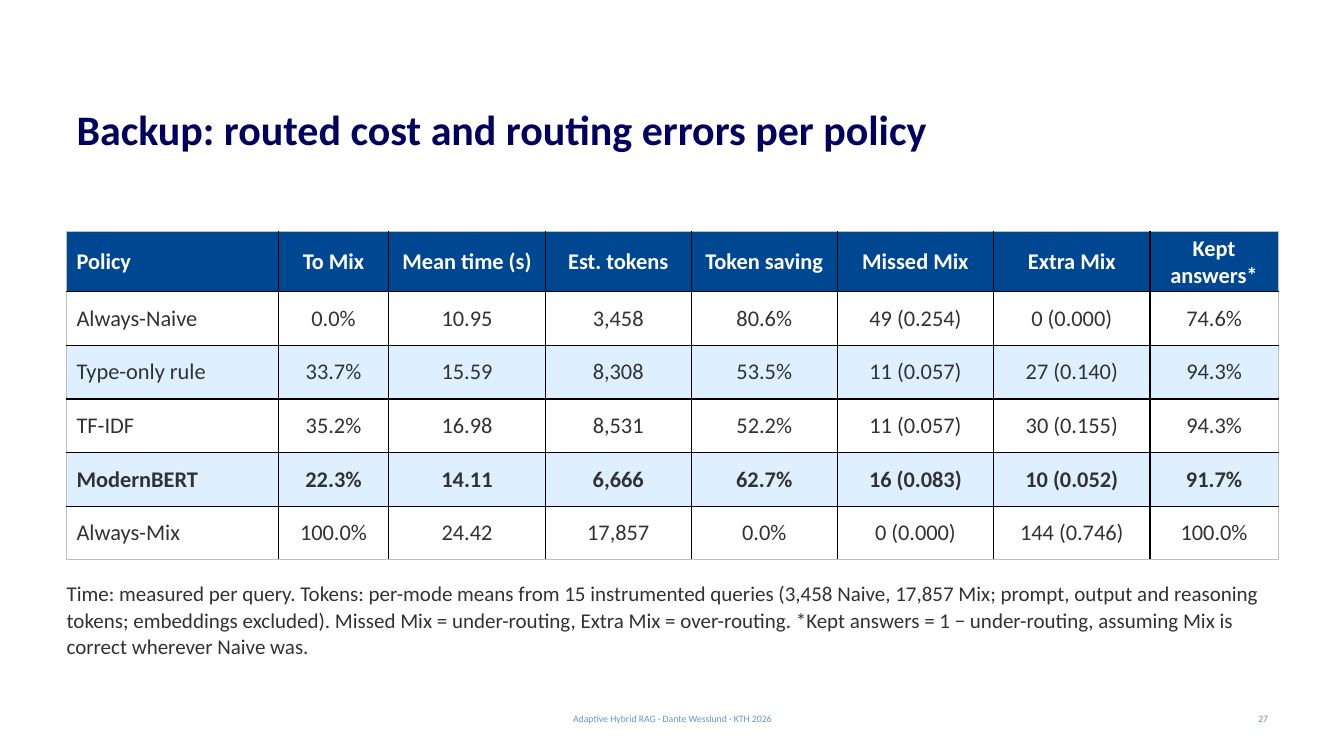
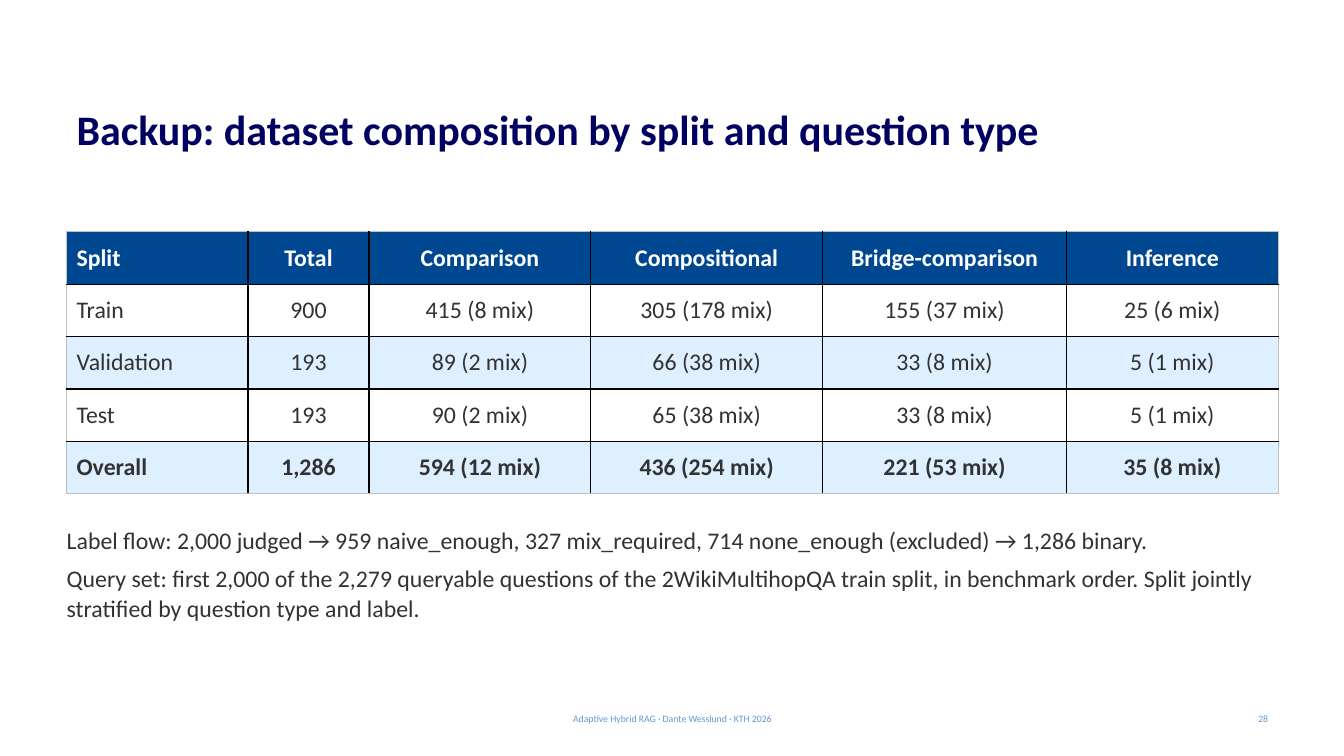
import pptx
import pptx.dml.color
import pptx.enum.text
import pptx.oxml.ns
import pptx.util
from lxml import etree

Cm = pptx.util.Cm
Pt = pptx.util.Pt
ALIGN = pptx.enum.text.PP_ALIGN
ANCHOR = pptx.enum.text.MSO_ANCHOR

COLORS = {
    "title": "000061",
    "footer": "6198D2",
    "header": "004791",
    "band": "DEF0FF",
    "body": "323232",
    "white": "FFFFFF",
    "grid": "000000",
    "frame": "BFBFBF",
}
FONT = "Calibri"
LEFT, CONTENT_WIDTH = 1.68, 30.53
TABLE_TOP = 5.84
FOOTER_TOP = 17.98
FOOTER_TEXT = "Adaptive Hybrid RAG · Dante Wesslund · KTH 2026"


def rgb(name):
    return pptx.dml.color.RGBColor.from_string(COLORS[name])


class Deck:
    """Holds the shared style and the slide being built."""

    def __init__(self):
        self.deck = pptx.Presentation()
        self.deck.slide_width = Cm(33.87)
        self.deck.slide_height = Cm(19.05)
        self.page = None

    def add_page(self, title, number):
        self.page = self.deck.slides.add_slide(self.deck.slide_layouts[6])
        self.text([title], LEFT, 2.41, CONTENT_WIDTH, 2.67, 30, "title",
                  bold=True, line_spacing=0.95, insets=(0.25, 0.3, 0.25, 0.13))
        self.footer(FOOTER_TEXT, 11.23, 11.43, ALIGN.CENTER)
        self.footer(str(number), 24.59, 7.62, ALIGN.RIGHT)

    def style(self, para, size, color, bold=False, align=ALIGN.LEFT):
        para.alignment = align
        for span in para.runs:
            span.font.name = FONT
            span.font.size = Pt(size)
            span.font.bold = bold
            span.font.color.rgb = rgb(color)

    def text(self, lines, left, top, width, height, size, color, bold=False,
             align=ALIGN.LEFT, anchor=ANCHOR.TOP, line_spacing=1.0,
             space_after=0, insets=(0.25, 0.13, 0.25, 0.13)):
        box = self.page.shapes.add_textbox(Cm(left), Cm(top), Cm(width), Cm(height))
        frame = box.text_frame
        frame.word_wrap = True
        frame.vertical_anchor = anchor
        (frame.margin_left, frame.margin_top,
         frame.margin_right, frame.margin_bottom) = map(Cm, insets)
        frame.text = "\n".join(lines)
        for para in frame.paragraphs:
            para.line_spacing = line_spacing
            para.space_after = Pt(space_after)
            self.style(para, size, color, bold, align)

    def footer(self, line, left, width, align):
        self.text([line], left, FOOTER_TOP, width, 0.27, 7, "footer",
                  align=align, anchor=ANCHOR.MIDDLE)

    def note(self, lines, top, height, size):
        self.text(lines, LEFT, top, CONTENT_WIDTH, height, size, "body",
                  line_spacing=1.05, space_after=6, insets=(0, 0, 0, 0))

    def border(self, cell, side, color):
        """Draws one side (L, R, T or B); call before setting the cell's fill."""
        qn = pptx.oxml.ns.qn
        properties = cell._tc.get_or_add_tcPr()
        line = etree.SubElement(properties, qn(f"a:ln{side}"), w=str(Pt(1)))
        fill = etree.SubElement(line, qn("a:solidFill"))
        etree.SubElement(fill, qn("a:srgbClr"), val=COLORS[color])

    def table(self, rows, widths, row_height, size, bold_row):
        """Draws a banded table whose first row is the header."""
        last_row, last_column = len(rows) - 1, len(widths) - 1
        table = self.page.shapes.add_table(
            len(rows), len(widths), Cm(LEFT), Cm(TABLE_TOP),
            Cm(CONTENT_WIDTH), Cm(row_height * len(rows))).table
        table.horz_banding = False
        for column, width in zip(table.columns, widths):
            column.width = Cm(width)
        for i, values in enumerate(rows):
            table.rows[i].height = Cm(row_height)
            fill = "header" if i == 0 else "white" if i % 2 else "band"
            for j, value in enumerate(values):
                cell = table.cell(i, j)
                edges = {"L": j == 0, "R": j == last_column,
                         "T": i == 0, "B": i == last_row}
                for side, outer in edges.items():
                    self.border(cell, side, "frame" if outer else "grid")
                cell.fill.solid()
                cell.fill.fore_color.rgb = rgb(fill)
                cell.vertical_anchor = ANCHOR.MIDDLE
                cell.margin_left = cell.margin_right = Cm(0.25)
                cell.margin_top = cell.margin_bottom = Cm(0.08)
                cell.text_frame.text = value
                self.style(cell.text_frame.paragraphs[0], size,
                           "body" if i else "white", bold=i in (0, bold_row),
                           align=ALIGN.CENTER if j else ALIGN.LEFT)


POLICIES = [
    ("Policy", "To Mix", "Mean time (s)", "Est. tokens", "Token saving",
     "Missed Mix", "Extra Mix", "Kept answers*"),
    ("Always-Naive", "0.0%", "10.95", "3,458", "80.6%", "49 (0.254)", "0 (0.000)", "74.6%"),
    ("Type-only rule", "33.7%", "15.59", "8,308", "53.5%", "11 (0.057)", "27 (0.140)", "94.3%"),
    ("TF-IDF", "35.2%", "16.98", "8,531", "52.2%", "11 (0.057)", "30 (0.155)", "94.3%"),
    ("ModernBERT", "22.3%", "14.11", "6,666", "62.7%", "16 (0.083)", "10 (0.052)", "91.7%"),
    ("Always-Mix", "100.0%", "24.42", "17,857", "0.0%", "0 (0.000)", "144 (0.746)", "100.0%"),
]
SPLITS = [
    ("Split", "Total", "Comparison", "Compositional", "Bridge-comparison", "Inference"),
    ("Train", "900", "415 (8 mix)", "305 (178 mix)", "155 (37 mix)", "25 (6 mix)"),
    ("Validation", "193", "89 (2 mix)", "66 (38 mix)", "33 (8 mix)", "5 (1 mix)"),
    ("Test", "193", "90 (2 mix)", "65 (38 mix)", "33 (8 mix)", "5 (1 mix)"),
    ("Overall", "1,286", "594 (12 mix)", "436 (254 mix)", "221 (53 mix)", "35 (8 mix)"),
]


def policy_page(deck):
    deck.add_page("Backup: routed cost and routing errors per policy", 27)
    deck.table(POLICIES, (5.33, 2.79, 3.94, 3.68, 3.68, 3.94, 3.94, 3.23),
               1.35, 16, bold_row=4)
    deck.note(["Time: measured per query. Tokens: per-mode means from 15 instrumented "
               "queries (3,458 Naive, 17,857 Mix; prompt, output and reasoning tokens; "
               "embeddings excluded). Missed Mix = under-routing, Extra Mix = "
               "over-routing. *Kept answers = 1 − under-routing, assuming Mix is "
               "correct wherever Naive was."], 14.61, 2.54, 15)


def split_page(deck):
    deck.add_page("Backup: dataset composition by split and question type", 28)
    deck.table(SPLITS, (4.57, 3.05, 5.59, 5.84, 6.15, 5.33), 1.32, 17, bold_row=4)
    deck.note(["Label flow: 2,000 judged → 959 naive_enough, 327 mix_required, "
               "714 none_enough (excluded) → 1,286 binary.",
               "Query set: first 2,000 of the 2,279 queryable questions of the "
               "2WikiMultihopQA train split, in benchmark order. Split jointly "
               "stratified by question type and label."], 13.21, 3.56, 17)


def main():
    deck = Deck()
    policy_page(deck)
    split_page(deck)
    deck.deck.save("out.pptx")


if __name__ == "__main__":
    main()
